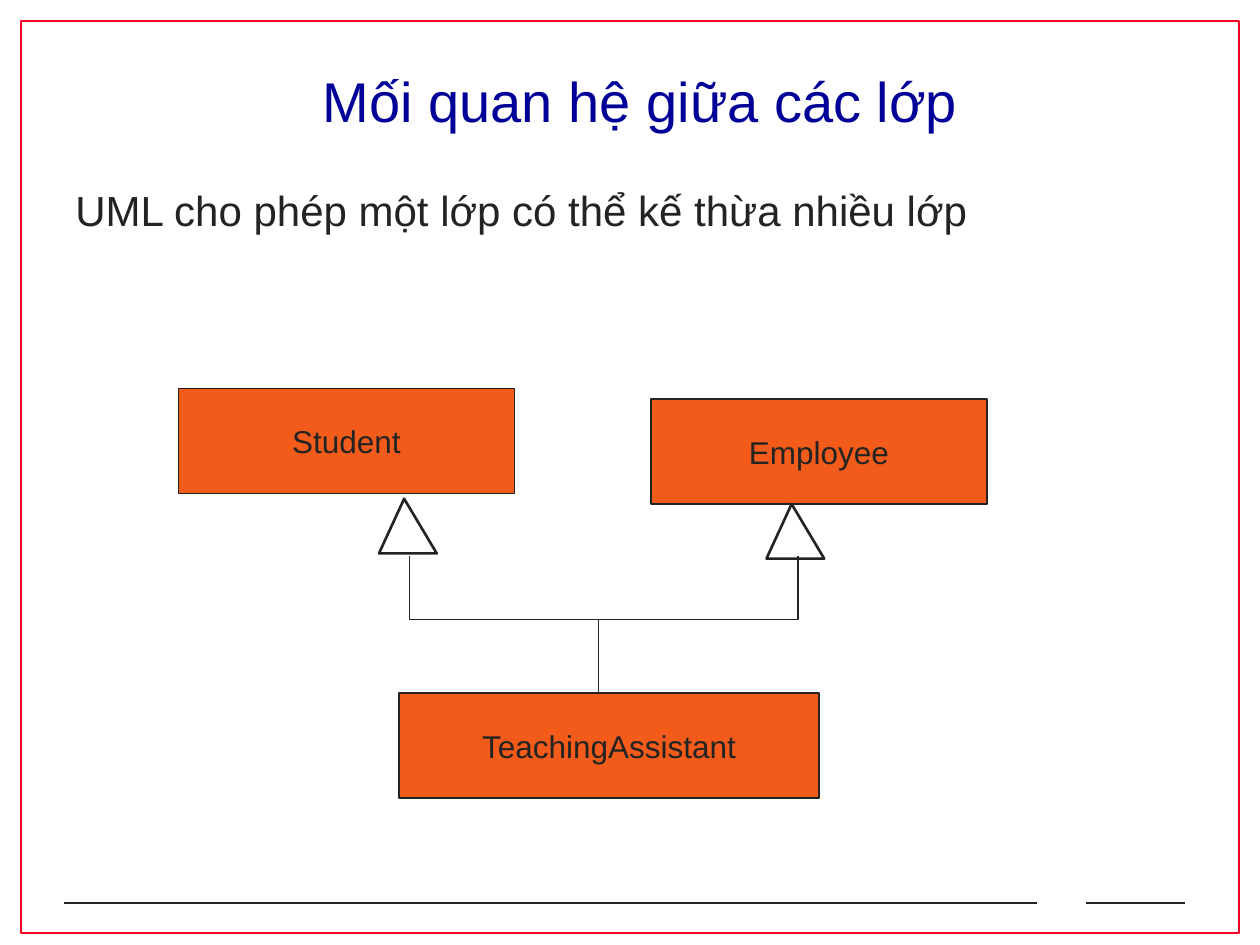
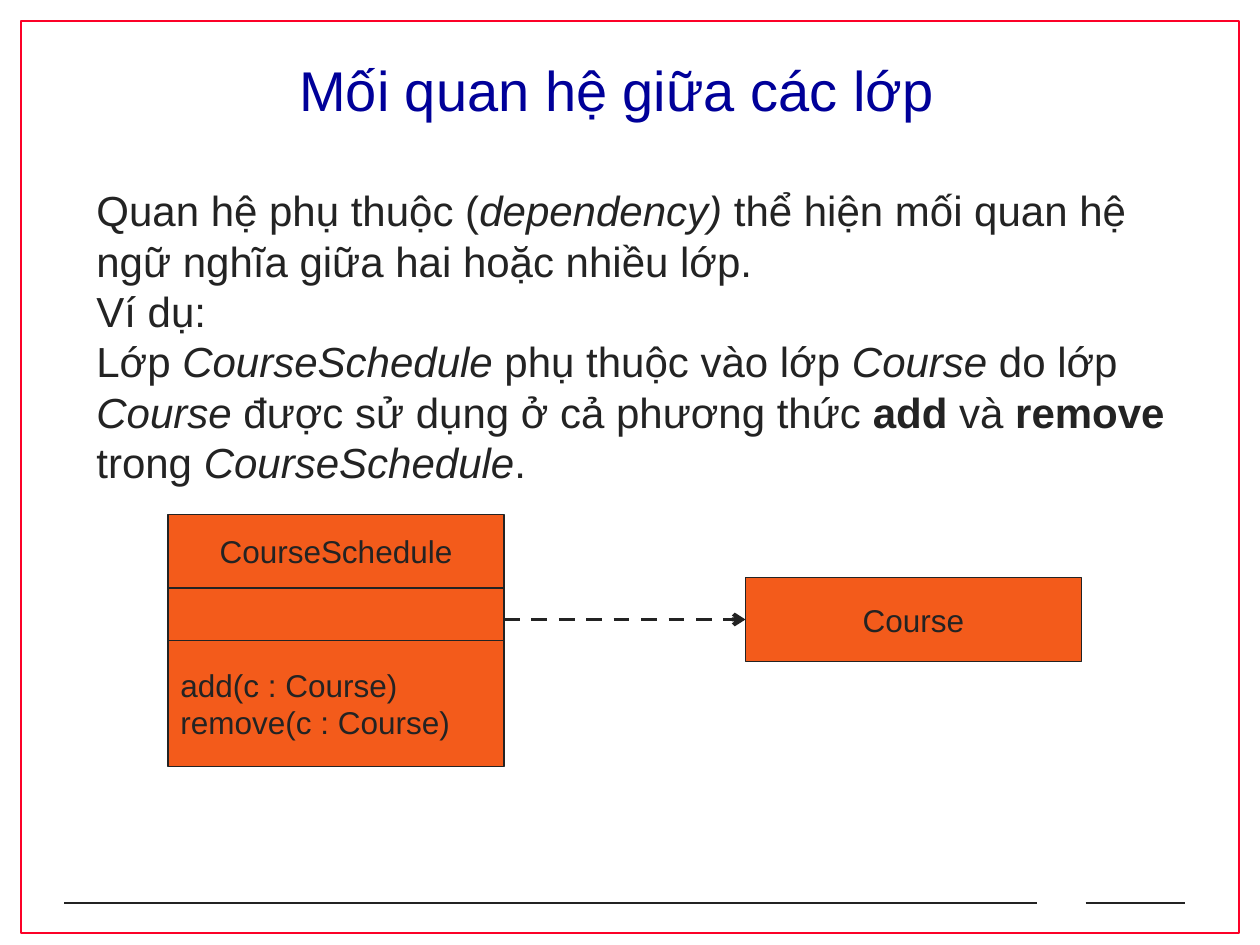
from lxml import etree
from pptx import Presentation
from pptx.dml.color import RGBColor
from pptx.enum.dml import MSO_LINE
from pptx.enum.shapes import MSO_CONNECTOR, MSO_SHAPE
from pptx.enum.text import MSO_ANCHOR, PP_ALIGN
from pptx.oxml.ns import qn
from pptx.util import Inches, Pt

COLUMNS, ROWS = 120, 90
CELL = Inches(10) // COLUMNS
FONT = "Arial"
COLORS = {
    "ink": "232323",
    "title": "000099",
    "frame": "FC0128",
    "class": "F35B1B",
    "paper": "FFFFFF",
}
TITLE_SIZE, BODY_SIZE, CLASS_SIZE = 32, 24, 18
FOOTER_ROW = 86
FOOTER_SPANS = [(6.1, 23), (22.2, 98.8), (103.4, 112.9)]
CLASS_WIDTH = 32


def grid(*cells):
    """Turn grid columns or rows into lengths."""
    return [round(cell * CELL) for cell in cells]


def color(name):
    return RGBColor.from_string(COLORS[name])


def style_shape(shape, fill, line, width):
    shape.shadow.inherit = False
    if fill:
        shape.fill.solid()
        shape.fill.fore_color.rgb = color(fill)
    else:
        shape.fill.background()
    shape.line.color.rgb = color(line)
    shape.line.width = Pt(width)


def write(shape, paragraphs, size, ink="ink", align=PP_ALIGN.LEFT, anchor=MSO_ANCHOR.TOP):
    """Fill a shape; each paragraph is a list of (text, style), style being "", "i" or "b"."""
    frame = shape.text_frame
    frame.word_wrap = True
    frame.vertical_anchor = anchor
    for index, runs in enumerate(paragraphs):
        paragraph = frame.paragraphs[0] if index == 0 else frame.add_paragraph()
        paragraph.alignment = align
        paragraph.font.name = FONT
        paragraph.font.size = Pt(size)
        paragraph.font.color.rgb = color(ink)
        for text, style in runs:
            run = paragraph.add_run()
            run.text = text
            if style == "i":
                run.font.italic = True
            elif style == "b":
                run.font.bold = True


def add_rectangle(slide, box, fill, line, width):
    shape = slide.shapes.add_shape(MSO_SHAPE.RECTANGLE, *grid(*box))
    style_shape(shape, fill, line, width)
    return shape


def add_line(slide, start, end, width=1):
    connector = slide.shapes.add_connector(MSO_CONNECTOR.STRAIGHT, *grid(*start, *end))
    connector.line.color.rgb = color("ink")
    connector.line.width = Pt(width)
    etree.SubElement(connector._element.spPr, qn("a:effectLst"))
    return connector


def add_dependency(slide, start, end):
    """Draw the dashed open arrow of a UML dependency."""
    connector = add_line(slide, start, end, 2.25)
    connector.line.dash_style = MSO_LINE.DASH
    tail = etree.SubElement(connector.line._get_or_add_ln(), qn("a:tailEnd"))
    tail.set("type", "arrow")


def add_outline(slide, points, fill=None, width=1):
    """Draw a polygon when a fill is given, otherwise an open path."""
    first, *others = [grid(*point) for point in points]
    builder = slide.shapes.build_freeform(*first)
    builder.add_line_segments(others, close=fill is not None)
    style_shape(builder.convert_to_shape(), fill, "ink", width)


def add_inheritance_head(slide, column, row):
    corners = [(column, row), (column - 2.4, row + 5.2), (column + 3.1, row + 5.2)]
    add_outline(slide, corners, "paper", 1.5)


def add_class_box(slide, box, lines=(), align=PP_ALIGN.CENTER):
    shape = add_rectangle(slide, box, "class", "ink", 0.75)
    paragraphs = [[(line, "")] for line in lines]
    write(shape, paragraphs, CLASS_SIZE, align=align, anchor=MSO_ANCHOR.MIDDLE)


def add_text(slide, box, paragraphs, size, **options):
    write(slide.shapes.add_textbox(*grid(*box)), paragraphs, size, **options)


def add_base_slide(presentation, title, title_box):
    """Add a slide with the shared frame, footer rules and title."""
    slide = presentation.slides.add_slide(presentation.slide_layouts[6])
    add_rectangle(slide, (2, 2, COLUMNS - 4, ROWS - 3.1), None, "frame", 1)
    for left, right in FOOTER_SPANS:
        add_line(slide, (left, FOOTER_ROW), (right, FOOTER_ROW))
    add_text(slide, title_box, [[(title, "")]], TITLE_SIZE, ink="title",
             align=PP_ALIGN.CENTER, anchor=MSO_ANCHOR.MIDDLE)
    return slide


def add_inheritance_slide(presentation):
    slide = add_base_slide(presentation, "Mối quan hệ giữa các lớp", (0, 6, 122, 7))
    add_text(slide, (6, 17, 107, 6),
             [[("UML cho phép một lớp có thể kế thừa nhiều lớp", "")]], BODY_SIZE)
    add_class_box(slide, (17, 37, CLASS_WIDTH, 10), ["Student"])
    add_class_box(slide, (62, 38, CLASS_WIDTH, 10), ["Employee"])
    add_class_box(slide, (38, 66, 40, 10), ["TeachingAssistant"])
    add_line(slide, (57, 59), (57, 66))
    add_inheritance_head(slide, 38.5, 47.5)
    add_inheritance_head(slide, 75.4, 48)
    add_outline(slide, [(39, 53), (39, 59), (76, 59), (76, 53)])


def add_dependency_slide(presentation):
    slide = add_base_slide(presentation, "Mối quan hệ giữa các lớp ", (8, 5, 103, 7))
    left, row = 16, 49
    compartments = [
        (7, ["CourseSchedule"], PP_ALIGN.CENTER),
        (5, [], PP_ALIGN.LEFT),
        (12, ["add(c : Course)", "remove(c : Course)"], PP_ALIGN.LEFT),
    ]
    for height, lines, align in compartments:
        add_class_box(slide, (left, row, CLASS_WIDTH, height), lines, align)
        row += height
    add_class_box(slide, (71, 55, CLASS_WIDTH, 8), ["Course"])
    add_dependency(slide, (left + CLASS_WIDTH, 59), (71, 59))
    explanation = [
        [("Quan hệ phụ thuộc (", ""), ("dependency) ", "i"),
         ("thể hiện mối quan hệ ngữ nghĩa giữa hai hoặc nhiều lớp.", "")],
        [("Ví dụ:", "")],
        [("Lớp ", ""), ("CourseSchedule ", "i"), ("phụ thuộc vào lớp ", ""),
         ("Course", "i"), (" do lớp ", ""), ("Course ", "i"),
         ("được sử dụng ở cả phương thức ", ""), ("add ", "b"), ("và ", ""),
         ("remove ", "b"), ("trong ", ""), ("CourseSchedule", "i"), (".", "")],
    ]
    add_text(slide, (8, 17, 106.4, 34), explanation, BODY_SIZE)


def main():
    presentation = Presentation()
    presentation.slide_width = COLUMNS * CELL
    presentation.slide_height = ROWS * CELL
    add_inheritance_slide(presentation)
    add_dependency_slide(presentation)
    presentation.save("out.pptx")


if __name__ == "__main__":
    main()
